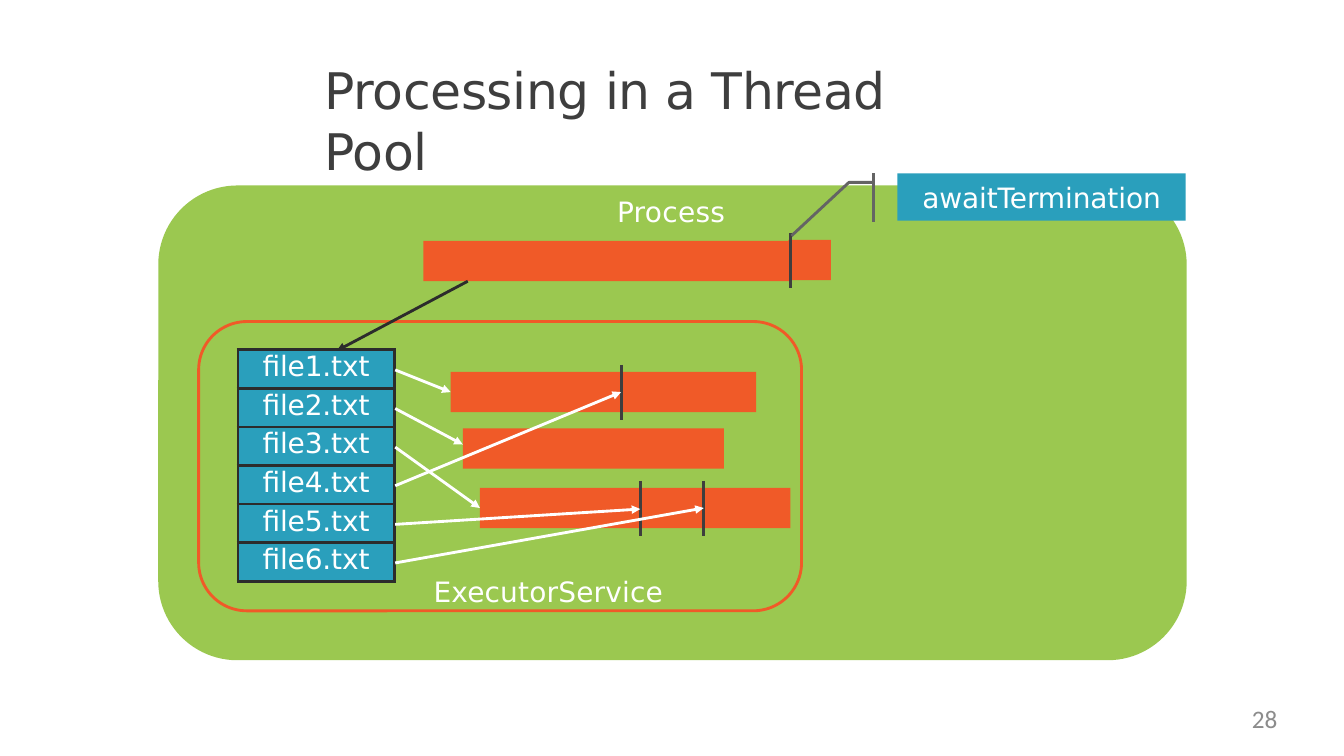
from typing import NamedTuple

from lxml import etree
from pptx import Presentation
from pptx.dml.color import RGBColor
from pptx.enum.shapes import MSO_CONNECTOR as Connector, MSO_SHAPE as Shape
from pptx.enum.text import MSO_ANCHOR as Anchor, MSO_AUTO_SIZE as AutoSize, PP_ALIGN as Align
from pptx.oxml.ns import qn
from pptx.util import Inches, Pt

GREEN = RGBColor(0x9B, 0xC8, 0x50)
ORANGE = RGBColor(0xF0, 0x5A, 0x28)
BLUE = RGBColor(0x2A, 0x9F, 0xBC)
WHITE = RGBColor(0xFF, 0xFF, 0xFF)
BLACK = RGBColor(0x2C, 0x2C, 0x2C)
DARK = RGBColor(0x3E, 0x3E, 0x3E)
GRAY = RGBColor(0x64, 0x64, 0x64)
PALE_GRAY = RGBColor(0x8C, 0x8C, 0x8C)
FONT = "DejaVu Sans"
LINE_WIDTH = Pt(2.04)
BAR_HEIGHT = 0.4
MARK_HEIGHT = 0.55


class Bar(NamedTuple):
    left: float
    top: float
    right: float


class Mark(NamedTuple):
    x: float
    top: float


class Link(NamedTuple):
    start: tuple[float, float]
    end: tuple[float, float]
    color: RGBColor = WHITE


presentation = Presentation()
presentation.slide_width = Inches(13.33)
presentation.slide_height = Inches(7.5)
slide = presentation.slides.add_slide(presentation.slide_layouts[5])
shapes = slide.shapes


def format_text(frame, size: float, color: RGBColor, font: str = FONT,
                align: Align = Align.LEFT, spacing: int = 0) -> None:
    for paragraph in frame.paragraphs:
        paragraph.alignment = align
        for run in paragraph.runs:
            run.font.size = Pt(size)
            run.font.name = font
            run.font.color.rgb = color
            run.font._element.set("spc", str(spacing))


def clear_margins(frame) -> None:
    frame.margin_left = frame.margin_right = frame.margin_bottom = 0
    frame.margin_top = Inches(0.01)
    frame.word_wrap = True
    frame.auto_size = AutoSize.NONE
    frame.vertical_anchor = Anchor.TOP


def add_label(text: str, left: float, top: float, width: float, size: float = 20,
              color: RGBColor = WHITE, font: str = FONT, align: Align = Align.LEFT,
              spacing: int = 0) -> None:
    box = shapes.add_textbox(Inches(left), Inches(top), Inches(width), Inches(0.38))
    clear_margins(box.text_frame)
    box.text_frame.text = text
    format_text(box.text_frame, size, color, font, align, spacing)


def add_block(kind: Shape, left: float, top: float, width: float, height: float,
              fill: RGBColor | None = None, line: RGBColor | None = None):
    shape = shapes.add_shape(kind, Inches(left), Inches(top), Inches(width), Inches(height))
    shape.shadow.inherit = False
    if fill is None:
        shape.fill.background()
    else:
        shape.fill.solid()
        shape.fill.fore_color.rgb = fill
    if line is None:
        shape.line.fill.background()
    else:
        shape.line.color.rgb = line
        shape.line.width = LINE_WIDTH
    return shape


def add_bar(bar: Bar) -> None:
    add_block(Shape.RECTANGLE, bar.left, bar.top, bar.right - bar.left, BAR_HEIGHT, ORANGE)


def add_line(link: Link, arrow: bool = False) -> None:
    points = [Inches(value) for value in (*link.start, *link.end)]
    connector = shapes.add_connector(Connector.STRAIGHT, *points)
    connector.line.color.rgb = link.color
    connector.line.width = LINE_WIDTH
    if arrow:
        etree.SubElement(connector.line._get_or_add_ln(), qn("a:tailEnd"), type="triangle")
    etree.SubElement(connector._element.spPr, qn("a:effectLst"))


def add_mark(mark: Mark) -> None:
    add_line(Link((mark.x, mark.top), (mark.x, mark.top + MARK_HEIGHT), DARK))


def add_borders(cell) -> None:
    properties = cell._tc.get_or_add_tcPr()
    for side in ("lnL", "lnR", "lnT", "lnB"):
        border = etree.SubElement(properties, qn(f"a:{side}"), w=str(Pt(2.25)))
        fill = etree.SubElement(border, qn("a:solidFill"))
        etree.SubElement(fill, qn("a:srgbClr"), val=str(BLACK))


# Process area and title
add_block(Shape.ROUNDED_RECTANGLE, 1.57, 1.84, 10.2, 4.71, GREEN)
add_label("Process", 6.12, 1.92, 1.4, spacing=20)

title = shapes.title
title.left, title.top = Inches(3.22), Inches(0.58)
title.width, title.height = Inches(6.5), Inches(0.63)
clear_margins(title.text_frame)
title.text_frame.text = "Processing in a Thread Pool"
format_text(title.text_frame, 36, DARK, spacing=-30)

# File queue
FILE_COUNT = 6
QUEUE_TOP, ROW_HEIGHT = 3.47, 0.383
queue_frame = shapes.add_table(FILE_COUNT, 1, Inches(2.36), Inches(QUEUE_TOP),
                               Inches(1.55), Inches(FILE_COUNT * ROW_HEIGHT))
queue = queue_frame.table
queue.first_row = queue.horz_banding = False
for index, row in enumerate(queue.rows):
    row.height = Inches(ROW_HEIGHT)
    cell = row.cells[0]
    cell.margin_left = cell.margin_right = cell.margin_bottom = 0
    cell.margin_top = Inches(0.01)
    add_borders(cell)
    cell.fill.solid()
    cell.fill.fore_color.rgb = BLUE
    cell.text_frame.text = f"file{index + 1}.txt"
    format_text(cell.text_frame, 20, WHITE, align=Align.CENTER, spacing=-10)

# Main thread and pool threads
for bar in (Bar(4.2, 2.39, 7.84), Bar(7.82, 2.38, 8.24), Bar(4.47, 3.69, 7.5),
            Bar(4.59, 4.25, 7.18), Bar(4.76, 4.84, 7.84)):
    add_bar(bar)

# Executor service frame
add_block(Shape.ROUNDED_RECTANGLE, 1.97, 3.19, 5.98, 2.87, line=ORANGE)
add_label("ExecutorService", 4.3, 5.69, 2.5, spacing=10)

# Task boundaries and the waiting point
for mark in (Mark(6.16, 3.62), Mark(6.98, 4.77), Mark(6.35, 4.77), Mark(7.84, 2.31)):
    add_mark(mark)

# Submission and task assignment arrows
add_line(Link((4.64, 2.79), (3.34, 3.48), BLACK), arrow=True)
task_starts = [(4.47, 3.89), (4.59, 4.41), (4.76, 5.04),
               (6.16, 3.89), (6.35, 5.05), (6.98, 5.04)]
for index, task_start in enumerate(task_starts):
    add_line(Link((3.92, 3.67 + index * ROW_HEIGHT), task_start), arrow=True)

# Callout
add_line(Link((8.66, 1.72), (8.66, 2.2), GRAY))
builder = shapes.build_freeform(Inches(8.66), Inches(1.81))
builder.add_line_segments([(Inches(8.42), Inches(1.81)), (Inches(7.85), Inches(2.34))], close=False)
leader = builder.convert_to_shape()
leader.shadow.inherit = False
leader.fill.background()
leader.line.color.rgb = GRAY
leader.line.width = LINE_WIDTH

callout = add_block(Shape.RECTANGLE, 8.9, 1.72, 2.86, 0.47, BLUE)
clear_margins(callout.text_frame)
callout.text_frame.vertical_anchor = Anchor.MIDDLE
callout.text_frame.text = "awaitTermination"
format_text(callout.text_frame, 20, WHITE, align=Align.CENTER, spacing=-10)

# Slide number
add_label("28", 9.6, 6.97, 3.07, 18, PALE_GRAY, "Calibri", Align.RIGHT)

presentation.save("out.pptx")
